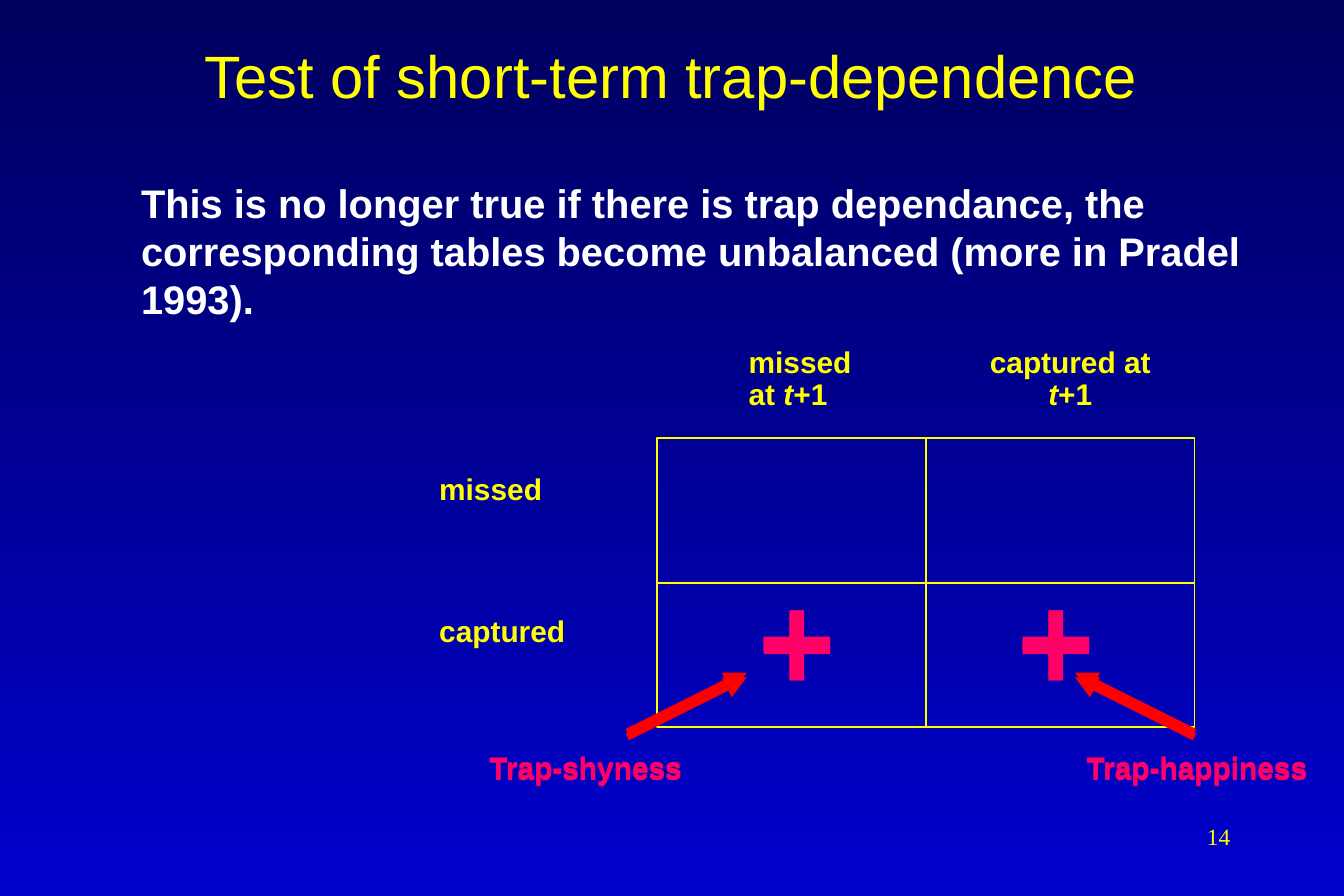
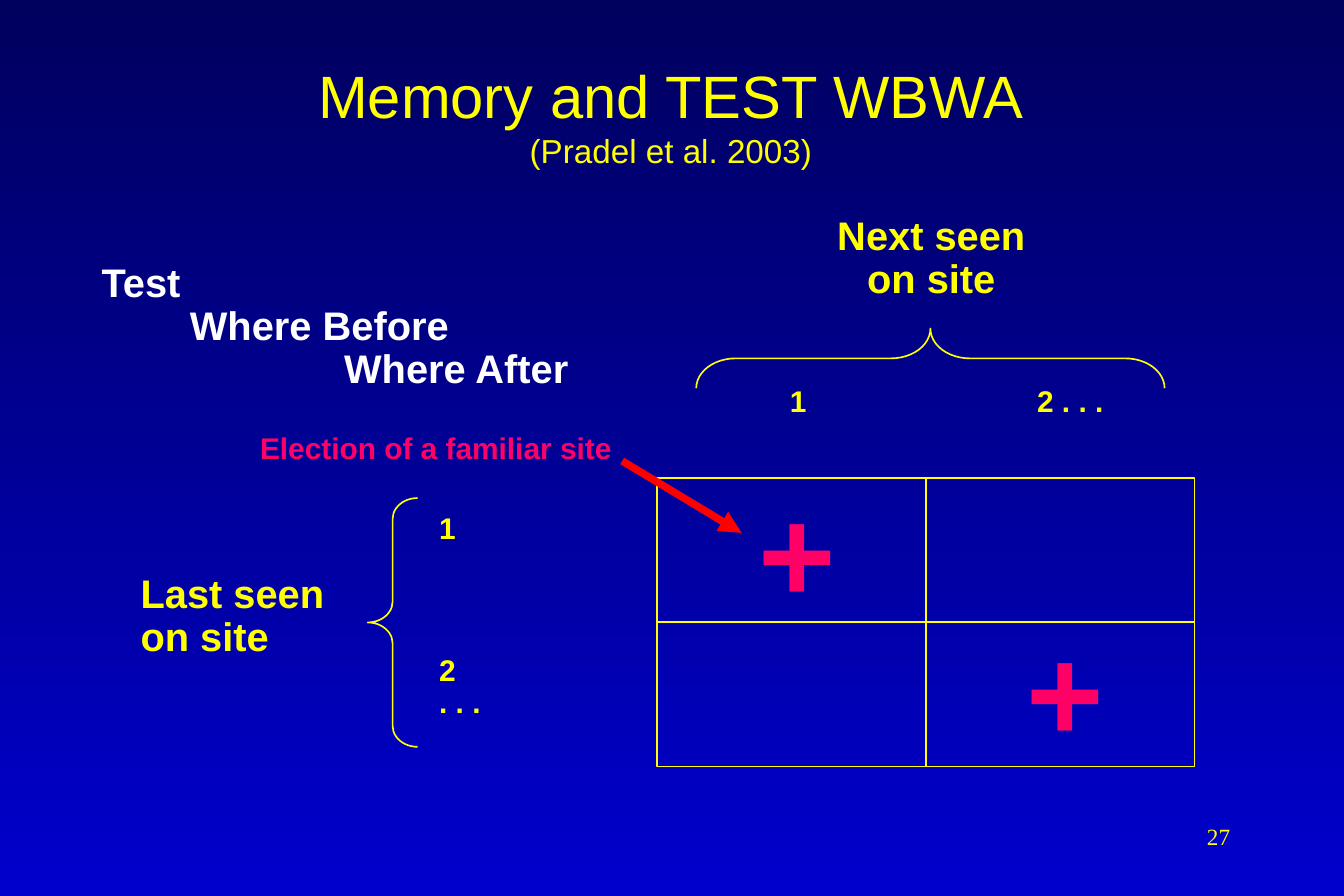
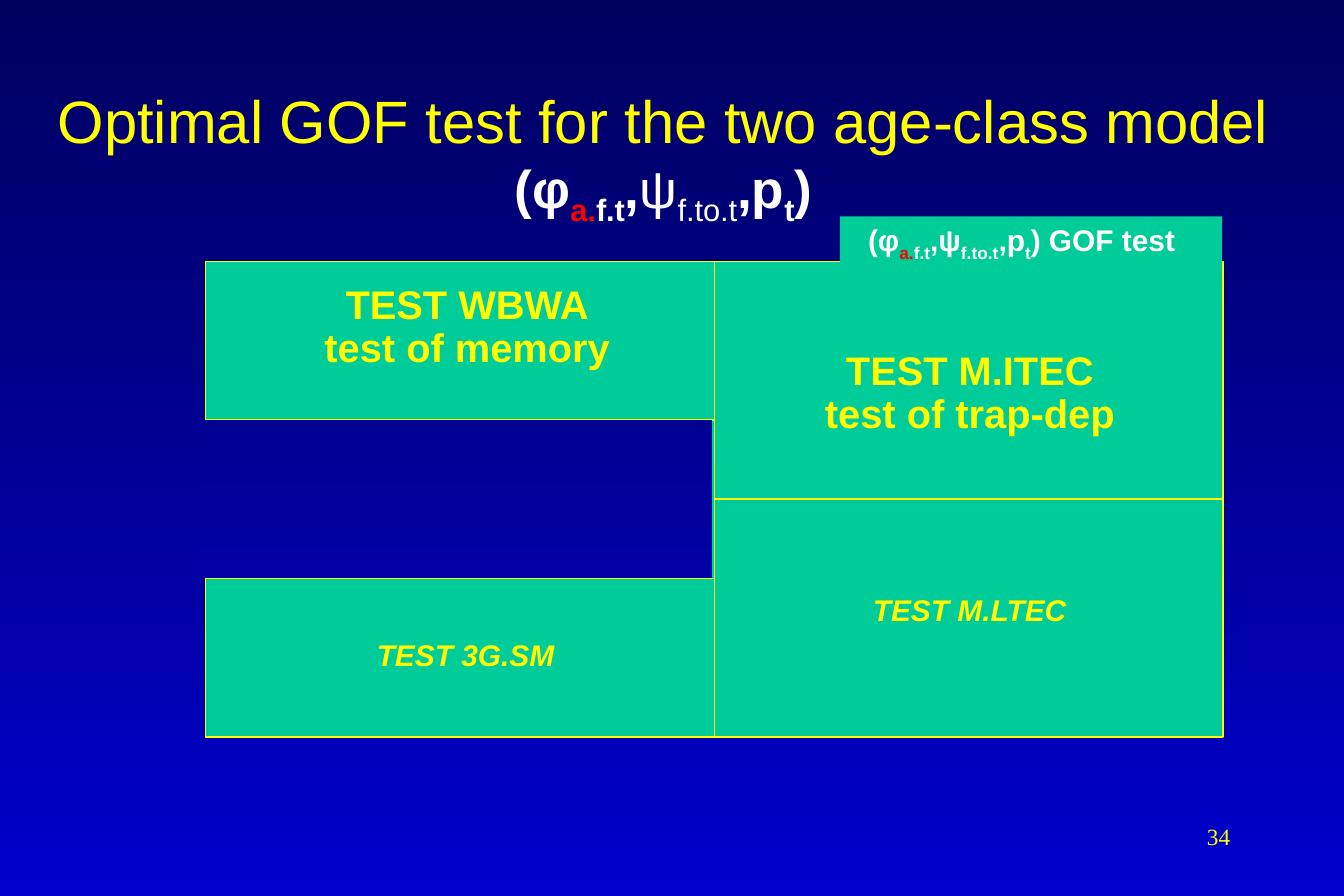
from dataclasses import dataclass
from typing import NamedTuple, Optional

from lxml.etree import SubElement
from pptx import Presentation
from pptx.dml.color import RGBColor as Rgb
from pptx.dml.fill import FillFormat
from pptx.enum.shapes import MSO_CONNECTOR as Connector, MSO_SHAPE as Preset
from pptx.enum.text import MSO_ANCHOR as Anchor, PP_ALIGN as Align
from pptx.oxml.ns import qn
from pptx.shapes.autoshape import Shape
from pptx.shapes.connector import Connector as Line
from pptx.slide import Slide
from pptx.text.text import TextFrame
from pptx.util import Cm, Pt


@dataclass(frozen=True)
class Theme:
    sky_top: Rgb = Rgb(0x00, 0x00, 0x5E)
    sky_bottom: Rgb = Rgb(0x00, 0x00, 0xCC)
    yellow: Rgb = Rgb(0xFF, 0xFF, 0x00)
    white: Rgb = Rgb(0xFF, 0xFF, 0xFF)
    pink: Rgb = Rgb(0xFF, 0x00, 0x66)
    red: Rgb = Rgb(0xFF, 0x00, 0x00)
    green: Rgb = Rgb(0x00, 0xCC, 0x99)
    font: str = "Arial"
    number_font: str = "Times New Roman"
    title: float = 36
    formula: float = 32
    text: float = 24
    subtitle: float = 20
    label: float = 18
    number: float = 14
    plus: float = 80
    thin: float = 1
    thick: float = 4.5


THEME = Theme()
SLIDE_WIDTH, SLIDE_HEIGHT = 28.58, 19.05


class Box(NamedTuple):
    """Left, top, width and height in centimetres."""
    left: float
    top: float
    width: float
    height: float

    def lengths(self) -> tuple[Cm, Cm, Cm, Cm]:
        return Cm(self.left), Cm(self.top), Cm(self.width), Cm(self.height)


class Point(NamedTuple):
    x: float
    y: float


class Run(NamedTuple):
    text: str
    size: float = THEME.label
    color: Rgb = THEME.yellow
    bold: bool = True
    italic: bool = False
    subscript: bool = False
    font: str = THEME.font


class Para(NamedTuple):
    runs: list[Run]
    indent: float = 0


class Header(NamedTuple):
    para: Para
    left: float
    width: float
    align: Align


class Effect(NamedTuple):
    """A plus sign in a cell, with its caption and the arrow joining them."""
    caption: str
    caption_at: Point
    plus_at: Point
    tail: Point
    tip: Point


def line_of(text: str, size: float = THEME.label, color: Rgb = THEME.yellow,
            indent: float = 0, italic: bool = False) -> Para:
    return Para([Run(text, size, color, italic=italic)], indent)


def title_line(text: str, size: float = THEME.title) -> Para:
    return Para([Run(text, size, bold=False)])


def model_formula(size: float, bold_psi: bool) -> list[Run]:
    def part(text: str, subscript: bool = False, bold: bool = True,
             color: Rgb = THEME.white) -> Run:
        return Run(text, size, color, bold, subscript=subscript)

    return [part("(φ"), part("a.", True, color=THEME.red), part("f.t", True),
            part(","), part("ψ", bold=bold_psi), part("f.to.t", True, bold_psi),
            part(",p"), part("t", True), part(")")]


def write_text(frame: TextFrame, paras: list[Para], align: Align, spacing: float,
               anchor: Anchor = Anchor.TOP) -> None:
    frame.word_wrap = True
    frame.vertical_anchor = anchor
    for index, para in enumerate(paras):
        paragraph = frame.paragraphs[0] if index == 0 else frame.add_paragraph()
        paragraph.alignment = align
        paragraph.line_spacing = spacing
        if para.indent:
            paragraph._p.get_or_add_pPr().set("marL", str(Cm(para.indent)))
        for item in para.runs:
            run = paragraph.add_run()
            run.text = item.text
            run.font.name = item.font
            run.font.size = Pt(item.size)
            run.font.bold = item.bold
            run.font.italic = item.italic
            run.font.color.rgb = item.color
            if item.subscript:
                run._r.get_or_add_rPr().set("baseline", "-25000")


def add_text(slide: Slide, box: Box, paras: list[Para], align: Align = Align.LEFT,
             spacing: float = 0.9, anchor: Anchor = Anchor.TOP) -> None:
    shape = slide.shapes.add_textbox(*box.lengths())
    write_text(shape.text_frame, paras, align, spacing, anchor)


def add_preset(slide: Slide, preset: Preset, box: Box, fill: Optional[Rgb] = None,
               outlined: bool = True) -> Shape:
    shape = slide.shapes.add_shape(preset, *box.lengths())
    shape.shadow.inherit = False
    if fill is None:
        shape.fill.background()
    else:
        shape.fill.solid()
        shape.fill.fore_color.rgb = fill
    if outlined:
        shape.line.color.rgb = THEME.yellow
        shape.line.width = Pt(THEME.thin)
    else:
        shape.line.fill.background()
    return shape


def add_line(slide: Slide, start: Point, end: Point, color: Rgb = THEME.yellow,
             width: float = THEME.thin, arrow: bool = False) -> Line:
    line = slide.shapes.add_connector(
        Connector.STRAIGHT, Cm(start.x), Cm(start.y), Cm(end.x), Cm(end.y))
    line.line.color.rgb = color
    line.line.width = Pt(width)
    properties = line._element.spPr
    if arrow:
        SubElement(properties.find(qn("a:ln")), qn("a:tailEnd"), type="triangle")
    SubElement(properties, qn("a:effectLst"))
    return line


def join_sides(slide: Slide, shape: Shape, first: int, second: int) -> None:
    """Draw a line across the shape between the middles of two sides."""
    line = add_line(slide, Point(0, 0), Point(1, 1))
    line.begin_connect(shape, first)
    line.end_connect(shape, second)


def sky_color(y: float) -> Rgb:
    """Colour of the background at height y."""
    share = y / SLIDE_HEIGHT
    return Rgb(*(round(top + (bottom - top) * share)
                 for top, bottom in zip(THEME.sky_top, THEME.sky_bottom)))


def fill_sky(fill: FillFormat, top: float, bottom: float) -> None:
    fill.gradient()
    fill.gradient_angle = 270
    for stop, y in zip(fill.gradient_stops, (top, bottom)):
        stop.color.rgb = sky_color(y)


def add_slide(presentation: Presentation, number: int, title_box: Box,
              title: list[Para]) -> Slide:
    slide = presentation.slides.add_slide(presentation.slide_layouts[6])
    page = Run(str(number), THEME.number, bold=False, font=THEME.number_font)
    add_text(slide, Box(20.47, 17.35, 5.94, 1.27), [Para([page])], Align.RIGHT, 1)
    add_text(slide, title_box, title, Align.CENTER, 1, Anchor.MIDDLE)
    return slide


def add_contingency(slide: Slide, top: float, columns: list[Para],
                    rows: list[list[Para]]) -> None:
    """Two by two grid with its column and row headings."""
    grid = add_preset(slide, Preset.RECTANGLE, Box(13.97, top, 11.43, 6.14))
    join_sides(slide, grid, 0, 2)
    join_sides(slide, grid, 1, 3)
    headers = [Header(columns[0], 15.67, 2.74, Align.LEFT),
               Header(columns[1], 20.32, 4.88, Align.CENTER)]
    for header in headers:
        add_text(slide, Box(header.left, top - 2.06, header.width, 1.63),
                 [header.para], header.align)
    for index, row in enumerate(rows):
        add_text(slide, Box(9.09, top + 0.64 + 3.02 * index, 4.02, 1.63), row)


def add_plus(slide: Slide, at: Point) -> None:
    add_text(slide, Box(at.x, at.y, 1.91, 3.3), [line_of("+", THEME.plus, THEME.pink)])


def add_effect(slide: Slide, effect: Effect, width: float) -> None:
    add_plus(slide, effect.plus_at)
    add_text(slide, Box(*effect.caption_at, width, 0.94),
             [line_of(effect.caption, color=THEME.pink)])
    add_line(slide, effect.tail, effect.tip, THEME.red, THEME.thick, arrow=True)


def add_brace(slide: Slide, box: Box, curve: float, rotation: float = 0) -> None:
    brace = add_preset(slide, Preset.LEFT_BRACE, box)
    brace.adjustments[0] = curve
    brace.rotation = rotation


def trap_dependence(presentation: Presentation) -> None:
    slide = add_slide(presentation, 14, Box(2.13, 0, 24.28, 3.18),
                      [title_line("Test of short-term trap-dependence")])
    statement = ("This is no longer true if there is trap dependance, the corresponding "
                 "tables become unbalanced (more in Pradel 1993).")
    add_text(slide, Box(1.78, 3.68, 24.99, 4.24),
             [line_of(statement, THEME.text, THEME.white, 0.97)], spacing=1)
    columns = [Para([Run(f"{state} at "), Run("t", italic=True), Run("+1")])
               for state in ("missed", "captured")]
    add_contingency(slide, 9.32, columns, [[line_of("missed")], [line_of("captured")]])
    # Each effect is laid twice, slightly apart, for a heavier look.
    for plus_top, caption_top, rise in ((12.14, 15.88, 0), (12.07, 15.93, 0.1)):
        tail_y, tip_y = 15.67 - rise, 14.4 - rise
        for effect in (
            Effect("Trap-shyness", Point(10.16, caption_top), Point(15.88, plus_top),
                   Point(13.34, tail_y), Point(15.88, tip_y)),
            Effect("Trap-happiness", Point(22.86, caption_top), Point(21.39, plus_top),
                   Point(25.4, tail_y), Point(22.86, tip_y)),
        ):
            add_effect(slide, effect, 5.6)


def memory_test(presentation: Presentation) -> None:
    slide = add_slide(presentation, 27, Box(2.13, 0.84, 24.28, 3.18),
                      [title_line("Memory and TEST WBWA"),
                       title_line("(Pradel et al. 2003)", THEME.subtitle)])
    add_contingency(slide, 10.16, [line_of("1", indent=0.88), line_of("2 . . .")],
                    [[line_of("1")], [line_of("2"), line_of(". . .")]])
    add_brace(slide, Box(7.82, 10.59, 1.06, 5.29), 0.42)
    add_brace(slide, Box(19.15, 2.64, 1.27, 9.96), 0.66, rotation=90)
    for seen, left, top, align in (("Last seen", 2.74, 12.09, Align.LEFT),
                                   ("Next seen", 16.31, 4.47, Align.CENTER)):
        add_text(slide, Box(left, top, 6.99, 2.08),
                 [line_of(text, THEME.text) for text in (seen, "on site")], align)
    steps = (("Test", 0), ("Where Before", 1.88), ("Where After", 5.16))
    add_text(slide, Box(1.91, 5.46, 11.63, 3),
             [line_of(text, THEME.text, THEME.white, indent) for text, indent in steps])
    add_effect(slide, Effect("Election of a familiar site", Point(5.28, 9.09),
                             Point(15.88, 10.24), Point(13.23, 9.8),
                             Point(15.77, 11.33)), 11.86)
    add_plus(slide, Point(21.59, 13.21))


def optimal_test(presentation: Presentation) -> None:
    title = [*title_line("Optimal GOF test for the two age-class model ").runs,
             *model_formula(THEME.formula, bold_psi=False)]
    slide = add_slide(presentation, 34, Box(0.84, 1.4, 26.54, 3.81), [Para(title)])

    area = Box(4.37, 5.56, 21.64, 10.11)
    middle = Point(area.left + area.width / 2, area.top + area.height / 2)
    panel = add_preset(slide, Preset.RECTANGLE, area, THEME.green)
    tag = add_preset(slide, Preset.RECTANGLE, Box(17.86, 4.6, 8.13, 1.04),
                     THEME.green, outlined=False)
    tag_runs = [*model_formula(THEME.label, bold_psi=True),
                Run(" GOF test", color=THEME.white)]
    write_text(tag.text_frame, [Para(tag_runs, 0.35)], Align.LEFT, 0.9)

    join_sides(slide, panel, 0, 2)
    add_line(slide, middle, Point(0, 0)).end_connect(panel, 3)
    thirds = [area.top + area.height * part / 3 for part in (1, 2)]
    for y in thirds:
        add_line(slide, Point(area.left, y), Point(middle.x, y))
    gap = add_preset(slide, Preset.RECTANGLE,
                     Box(4.22, thirds[0], 10.92, thirds[1] - thirds[0]), outlined=False)
    fill_sky(gap.fill, *thirds)

    for left, top, lines in ((5.77, 5.94, ("TEST WBWA", "test of memory")),
                             (16.46, 7.34, ("TEST M.ITEC", "test of trap-dep"))):
        add_text(slide, Box(left, top, 8.33, 2.08),
                 [line_of(text, THEME.text) for text in lines], Align.CENTER)
    for left, top, name in ((17.65, 12.55, "TEST M.LTEC"), (6.93, 13.49, "TEST 3G.SM")):
        add_text(slide, Box(left, top, 5.94, 0.94),
                 [line_of(name, italic=True)], Align.CENTER)


def main() -> None:
    presentation = Presentation()
    presentation.slide_width = Cm(SLIDE_WIDTH)
    presentation.slide_height = Cm(SLIDE_HEIGHT)
    fill_sky(presentation.slide_master.background.fill, 0, SLIDE_HEIGHT)
    trap_dependence(presentation)
    memory_test(presentation)
    optimal_test(presentation)
    presentation.save("out.pptx")


if __name__ == "__main__":
    main()
